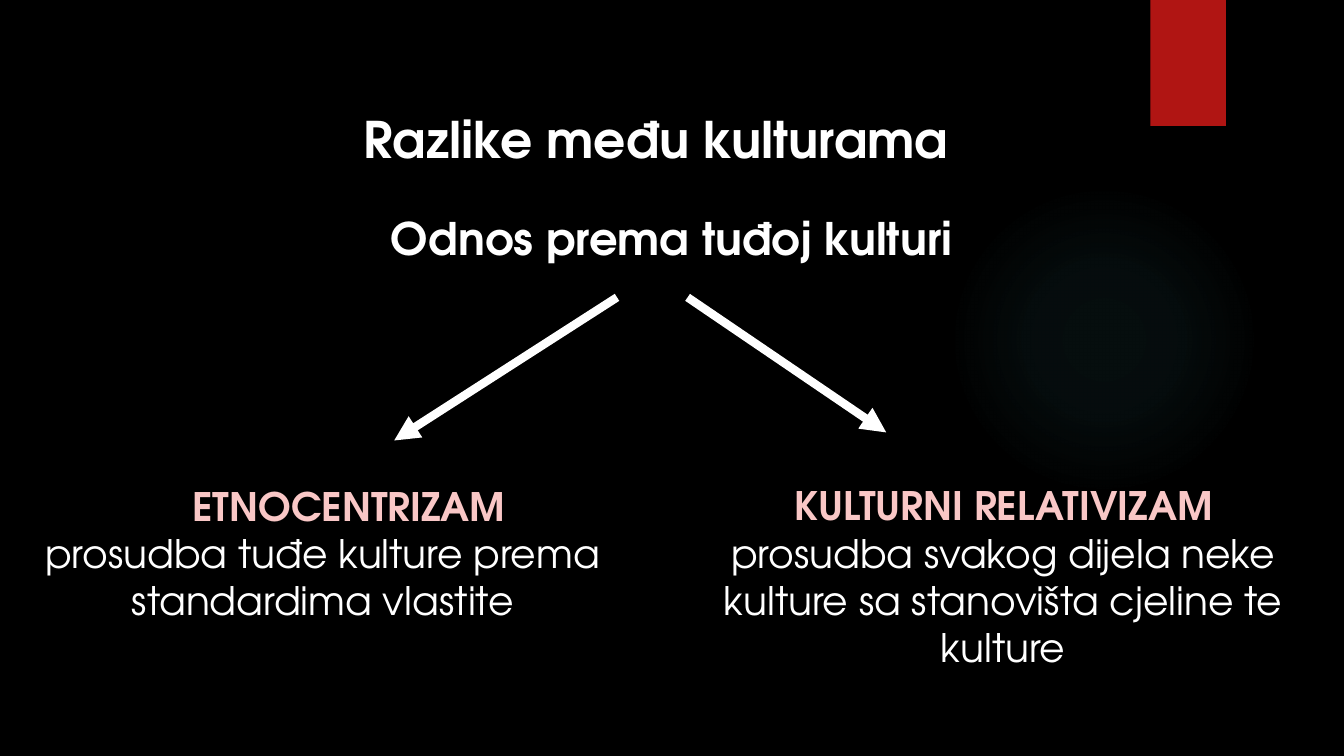
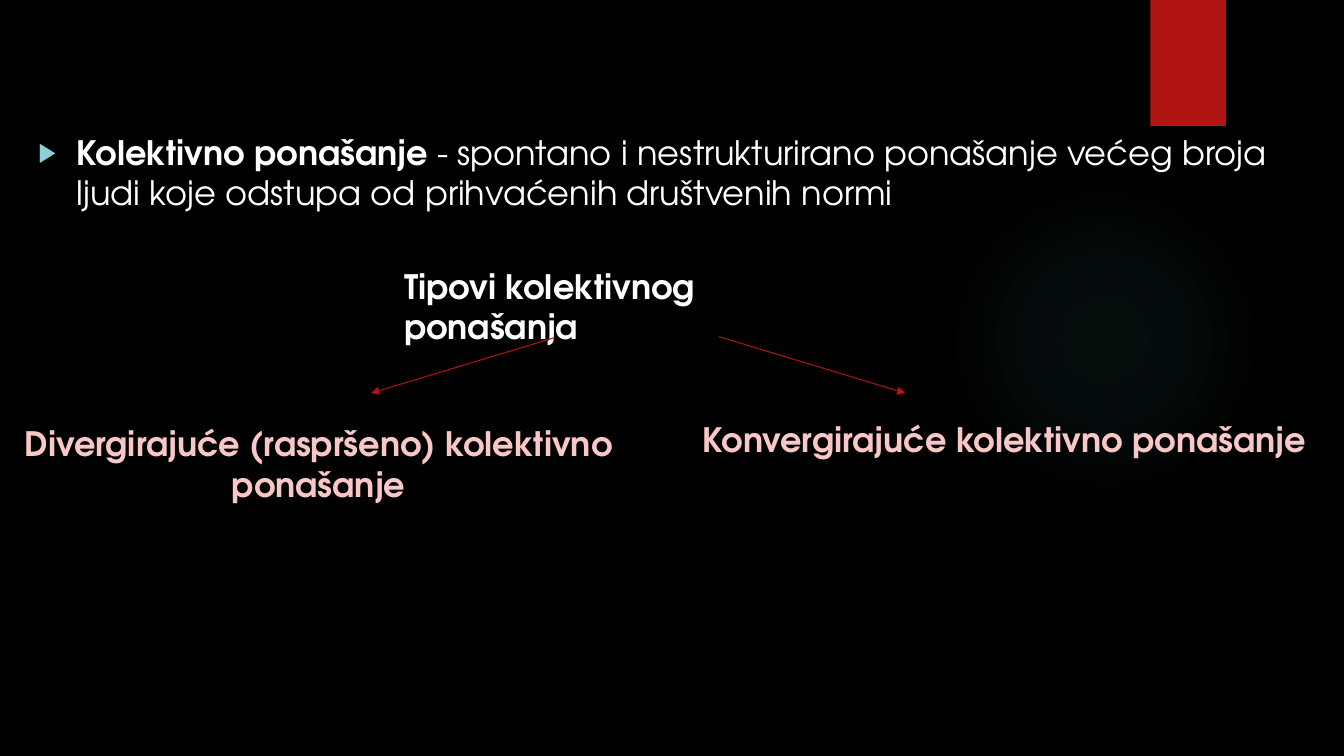
import pptx
import pptx.dml.color
import pptx.enum.shapes
import pptx.enum.text
import pptx.oxml
import pptx.oxml.ns
import pptx.util
from lxml import etree

Inches = pptx.util.Inches
Pt = pptx.util.Pt
Shape = pptx.enum.shapes.MSO_SHAPE
Align = pptx.enum.text.PP_ALIGN
Anchor = pptx.enum.text.MSO_ANCHOR
qn = pptx.oxml.ns.qn

FONT = "TeX Gyre Adventor"
COLORS = {"black": "000000", "white": "FFFFFF", "red": "B01513",
          "pink": "F9C7C6", "teal": "50B9C1", "aqua": "8AD0D6"}
TITLE_ONLY, CONTENT = 5, 1


def rgb(name):
    return pptx.dml.color.RGBColor.from_string(COLORS[name])


def write(para, text, size=24, color="white", bold=True):
    """Add one formatted run to a paragraph."""
    run = para.add_run()
    run.text = text
    font = run.font
    font.name, font.size, font.bold = FONT, Pt(size), bold
    font.color.rgb = rgb(color)


class Deck:
    def __init__(self):
        self.prs = pptx.Presentation()
        self.prs.slide_width = Inches(13.33)
        self.prs.slide_height = Inches(7.5)
        fill = self.prs.slide_master.background.fill
        fill.solid()
        fill.fore_color.rgb = rgb("black")

    def start(self, layout):
        """Open a slide with the shared glow and ribbon."""
        self.slide = self.prs.slides.add_slide(self.prs.slide_layouts[layout])
        self.glow(9.41, 1.83, 3.08)
        ribbon = self.shape(Shape.RECTANGLE, 11.41, 0, 0.75, 1.25)
        ribbon.fill.solid()
        ribbon.fill.fore_color.rgb = rgb("red")

    def shape(self, kind, *at):
        shape = self.slide.shapes.add_shape(kind, *map(Inches, at))
        shape.shadow.inherit = False
        shape.line.fill.background()
        return shape

    def glow(self, left, top, size):
        disc = self.shape(Shape.OVAL, left, top, size, size)
        stops = "".join(
            f'<a:gs pos="{pos}000"><a:srgbClr val="{COLORS["teal"]}">'
            f'<a:alpha val="{alpha}000"/></a:srgbClr></a:gs>'
            for pos, alpha in ((0, 7), (36, 6), (69, 0)))
        grad = pptx.oxml.parse_xml(
            f'<a:gradFill {pptx.oxml.ns.nsdecls("a")}><a:gsLst>{stops}</a:gsLst>'
            '<a:path path="circle"><a:fillToRect l="50000" t="50000" '
            'r="50000" b="50000"/></a:path></a:gradFill>')
        disc._element.spPr.find(qn("a:prstGeom")).addnext(grad)

    def place(self, holder, *at):
        """Move a placeholder and return its first paragraph."""
        holder.left, holder.top, holder.width, holder.height = map(Inches, at)
        return self.frame(holder)

    def frame(self, shape, anchor=Anchor.TOP):
        frame = shape.text_frame
        frame.word_wrap = True
        frame.auto_size = pptx.enum.text.MSO_AUTO_SIZE.NONE
        frame.vertical_anchor = anchor
        return frame.paragraphs[0]

    def title(self, text, *at):
        para = self.place(self.slide.shapes.title, *at)
        para.alignment = Align.CENTER
        write(para, text, size=36)

    def box(self, lines, *at, size=24, align=Align.CENTER,
            anchor=Anchor.TOP, shift=0):
        """Text box; each line is (text, color, bold), shift indents the first."""
        box = self.slide.shapes.add_textbox(*map(Inches, at))
        para = self.frame(box, anchor)
        if shift:
            para._p.get_or_add_pPr().set("marL", str(Inches(shift)))
        for i, (text, color, bold) in enumerate(lines):
            if i:
                para = box.text_frame.add_paragraph()
            para.alignment = align
            write(para, text, size, color, bold)

    def bullet(self, term, text, *at):
        para = self.place(self.slide.placeholders[1], *at)
        para.space_before = Pt(0)
        props = para._p.get_or_add_pPr()
        props.set("marL", str(Inches(0.38)))
        props.set("indent", str(-Inches(0.38)))
        tint = etree.SubElement(props, qn("a:buClr"))
        etree.SubElement(tint, qn("a:srgbClr"), val=COLORS["aqua"])
        etree.SubElement(props, qn("a:buSzPct"), val="80000")
        etree.SubElement(props, qn("a:buChar"), char="▶")
        write(para, term)
        write(para, text, bold=False)

    def arrow(self, start, end, color, width):
        line = self.slide.shapes.add_connector(
            pptx.enum.shapes.MSO_CONNECTOR.STRAIGHT,
            *map(Inches, start + end))
        line.line.color.rgb = rgb(color)
        line.line.width = Pt(width)
        etree.SubElement(line.line._get_or_add_ln(), qn("a:tailEnd"),
                         type="triangle")
        etree.SubElement(line._element.spPr, qn("a:effectLst"))


def main():
    deck = Deck()

    # Attitudes towards other cultures
    deck.start(TITLE_ONLY)
    deck.title("Razlike među kulturama", -0.16, 1.02, 13.33, 0.71)
    deck.box([("Odnos prema tuđoj kulturi", "white", True)],
             0, 2.04, 13.33, 0.64, size=32)
    deck.box([("ETNOCENTRIZAM", "pink", True),
              ("prosudba tuđe kulture prema standardima vlastite",
               "white", False)],
             -0.19, 4.73, 6.78, 1.51, size=28, anchor=Anchor.MIDDLE, shift=0.52)
    deck.box([("KULTURNI RELATIVIZAM", "pink", True),
              ("prosudba svakog dijela neke kulture sa stanovišta "
               "cjeline te kulture", "white", False)],
             6.58, 4.73, 6.74, 1.51, size=28)
    for start, end in (((6.12, 2.95), (3.91, 4.37)),
                       ((6.82, 2.95), (8.79, 4.29))):
        deck.arrow(start, end, "white", 6)

    # Types of collective behaviour
    deck.start(CONTENT)
    heading = deck.slide.shapes.title._element
    heading.getparent().remove(heading)
    deck.bullet("Kolektivno ponašanje ",
                "- spontano i nestrukturirano ponašanje većeg broja ljudi "
                "koje odstupa od prihvaćenih društvenih normi",
                0.28, 1.26, 12.6, 5.52)
    deck.box([("Tipovi kolektivnog ponašanja", "white", True)],
             3.91, 2.59, 4.27, 0.5, align=Align.LEFT)
    for start, end in (((5.5, 3.35), (3.68, 3.9)),
                       ((7.13, 3.34), (8.98, 3.9))):
        deck.arrow(start, end, "red", 0.75)
    deck.box([("Divergirajuće (raspršeno) kolektivno ponašanje", "pink", True)],
             -0.17, 4.15, 6.66, 0.91)
    deck.box([("Konvergirajuće kolektivno ponašanje", "pink", True)],
             6.87, 4.11, 6.38, 0.5, align=Align.LEFT)

    deck.prs.save("out.pptx")


if __name__ == "__main__":
    main()
